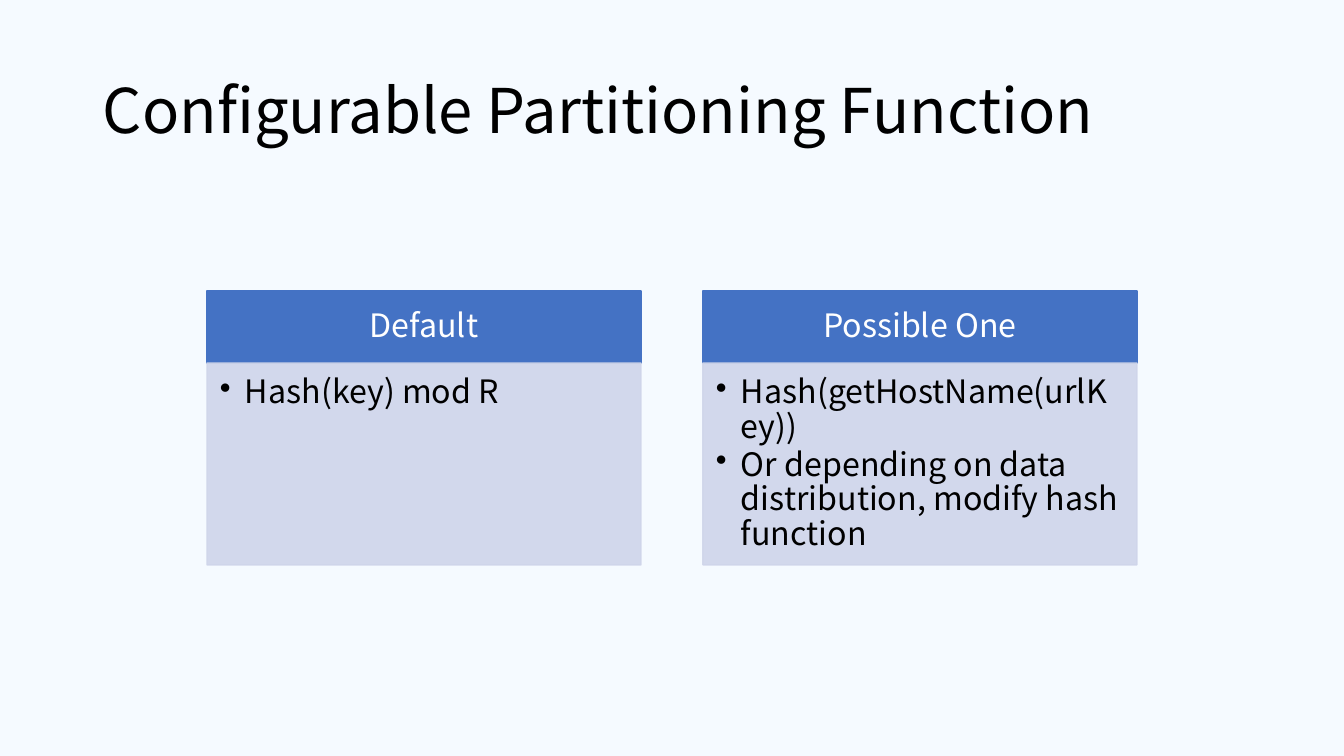
from pptx import Presentation
from pptx import util as u
from pptx.dml.color import RGBColor
from pptx.enum import shapes, text
from pptx.oxml.ns import qn
from lxml import etree

# Content
TITLE = "Configurable Partitioning Function"
COLUMNS = [
    ("Default", ["Hash(key) mod R"]),
    ("Possible One", [
        "Hash(getHostName(urlKey))",
        "Or depending on data distribution, modify hash function",
    ]),
]

# Style
FONT = "Noto Sans CJK SC"
LINE_SPACING = 0.9
BACKGROUND = RGBColor(0xF5, 0xFA, 0xFF)
BLUE = RGBColor(0x44, 0x72, 0xC4)
PALE = RGBColor(0xCF, 0xD5, 0xEA)
BLACK = RGBColor(0, 0, 0)
WHITE = RGBColor(0xFF, 0xFF, 0xFF)

# Layout in px, 100.8 to the inch
PX = u.Inches(1) / 100.8
LEFT, TOP, WIDTH, GAP = 207, 291, 434, 62
HEADER_HEIGHT, BODY_HEIGHT = 72, 202
INDENT = 25


def px(length):
    return u.Emu(round(length * PX))


def write(box, lines, size, color, margins, anchor, align, after=0):
    frame = box.text_frame
    frame.word_wrap = True
    frame.vertical_anchor = anchor
    (frame.margin_left, frame.margin_top,
     frame.margin_right, frame.margin_bottom) = map(px, margins)
    frame.text = "\n".join(lines)
    for para in frame.paragraphs:
        para.alignment = align
        para.line_spacing = LINE_SPACING
        para.space_after = u.Pt(after)
        for span in para.runs:
            span.font.name = FONT
            span.font.size = u.Pt(size)
            span.font.color.rgb = color
            east_asian = etree.SubElement(span.font._element, qn("a:ea"))
            east_asian.set("typeface", FONT)


def add_panel(left, top, height, color, opacity=100):
    panel = page.shapes.add_shape(shapes.MSO_SHAPE.RECTANGLE,
                                  px(left), px(top), px(WIDTH), px(height))
    panel.shadow.inherit = False
    panel.fill.solid()
    panel.fill.fore_color.rgb = color
    panel.line.color.rgb = color
    panel.line.width = u.Pt(1)
    if opacity < 100:
        for tint in panel._element.spPr.iter(qn("a:srgbClr")):
            etree.SubElement(tint, qn("a:alpha")).set("val", str(opacity * 1000))
    return panel


def add_bullets(box):
    for para in box.text_frame.paragraphs:
        properties = para._p.get_or_add_pPr()
        properties.set("marL", str(px(INDENT)))
        properties.set("indent", str(-px(INDENT)))
        etree.SubElement(properties, qn("a:buChar")).set("char", "•")


deck = Presentation()
deck.slide_width, deck.slide_height = px(1344), px(756)
page = deck.slides.add_slide(deck.slide_layouts[6])
page.background.fill.solid()
page.background.fill.fore_color.rgb = BACKGROUND

# Title
title = page.shapes.add_textbox(px(93), px(41), px(1159), px(146))
write(title, [TITLE], 44, BLACK, (10, 5, 10, 5),
      text.MSO_ANCHOR.MIDDLE, text.PP_ALIGN.LEFT)

# Columns: header above bulleted body
for index, (heading, points) in enumerate(COLUMNS):
    left = LEFT + index * (WIDTH + GAP)
    header = add_panel(left, TOP, HEADER_HEIGHT, BLUE)
    write(header, [heading], 23, WHITE, (18, 10, 18, 10),
          text.MSO_ANCHOR.MIDDLE, text.PP_ALIGN.CENTER)
    body = add_panel(left, TOP + HEADER_HEIGHT, BODY_HEIGHT, PALE, opacity=90)
    write(body, points, 23, BLACK, (13, 13, 18, 20),
          text.MSO_ANCHOR.TOP, text.PP_ALIGN.LEFT, after=2)
    add_bullets(body)

deck.save("out.pptx")
